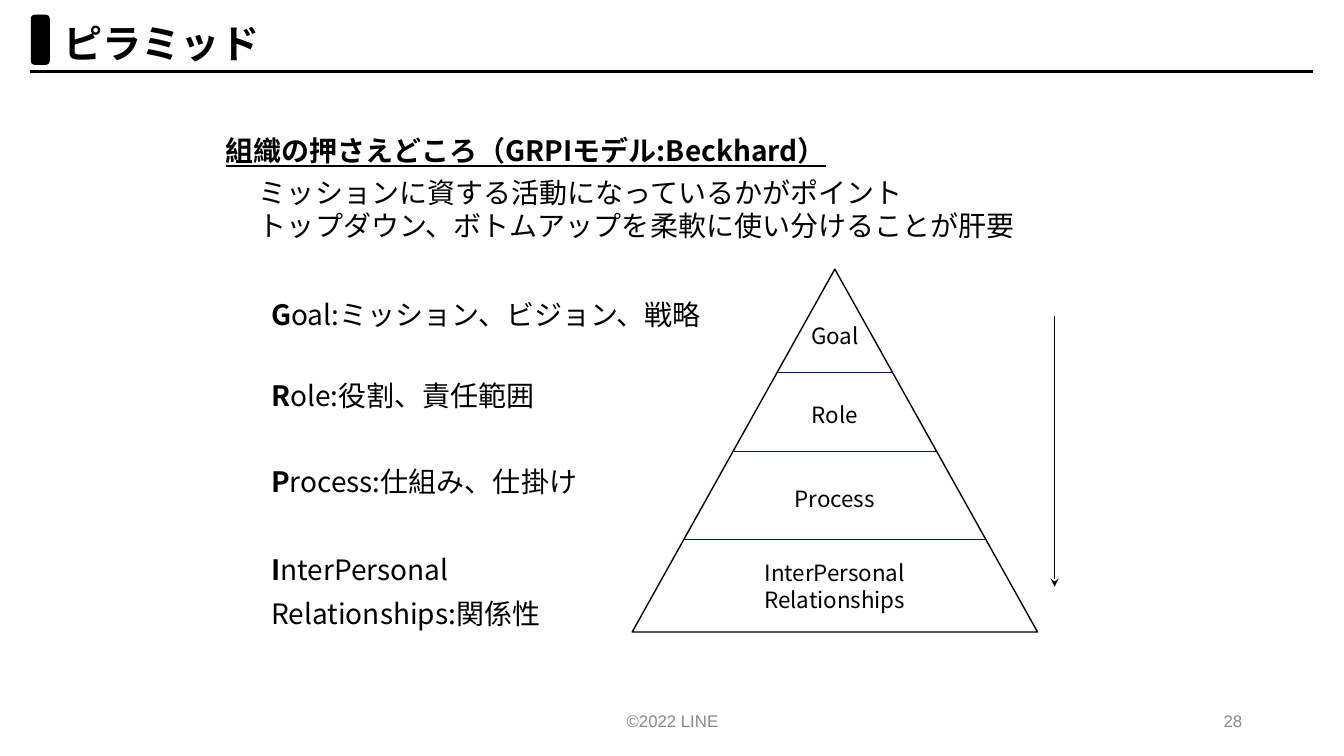
from pptx import Presentation, util as u
from pptx.dml.color import RGBColor
from pptx.enum import shapes, text
from pptx.oxml import parse_xml
from pptx.oxml.ns import nsdecls, qn

W, H = 13.33, 7.5
JP = "Noto Sans CJK JP"
BLACK, NAVY, GREY = "000000", "002060", "888888"
LEVELS = [("Goal", 0.182, 0.286), ("Role", 0.4, 0.503),
          ("Process", 0.632, 0.744), ("InterPersonal\nRelationships", 0.874, None)]
TERMS = [("G", "oal:ミッション、ビジョン、戦略", 0), ("R", "ole:役割、責任範囲", 36),
         ("P", "rocess:仕組み、仕掛け", 40), ("I", "nterPersonal", 41),
         ("", "Relationships:関係性", 10)]


def rgb(value):
    """Turn a hex string into a colour."""
    return RGBColor.from_string(value)


def add_run(p, words, font=JP, color=BLACK, **fmt):
    """Append a formatted run to a paragraph."""
    r = p.add_run()
    r.text = words
    for name, value in {"name": font, **fmt}.items():
        setattr(r.font, name, value)
    r.font.color.rgb = rgb(color)
    r.font._element.find(qn("a:latin")).addnext(
        parse_xml(f'<a:ea {nsdecls("a")} typeface="{font}"/>'))


def set_frame(sp, box, anchor=text.MSO_ANCHOR.TOP):
    """Place a text shape in its box and prepare its frame."""
    for name, value in zip(("left", "top", "width", "height"), box):
        setattr(sp, name, u.Inches(value))
    tf = sp.text_frame
    for name, value in {"word_wrap": True, "vertical_anchor": anchor,
                        "auto_size": text.MSO_AUTO_SIZE.NONE}.items():
        setattr(tf, name, value)
    return tf


def add_text(s, box, words, size, align=text.PP_ALIGN.LEFT,
             anchor=text.MSO_ANCHOR.TOP, **fmt):
    """Add a text box with one paragraph per line of words."""
    tf = set_frame(s.shapes.add_textbox(0, 0, 0, 0), box, anchor)
    for i, line in enumerate(words.split("\n")):
        p = tf.add_paragraph() if i else tf.paragraphs[0]
        p.alignment = align
        add_run(p, line, size=u.Pt(size), **fmt)


def add_line(s, x1, y1, x2, y2, color, width, arrow=False):
    """Draw a straight line, with an arrowhead at its end if asked."""
    c = s.shapes.add_connector(shapes.MSO_CONNECTOR.STRAIGHT,
                               *map(u.Inches, (x1, y1, x2, y2)))
    c.line.color.rgb = rgb(color)
    c.line.width = u.Pt(width)
    sppr = c._element.spPr
    if arrow:
        sppr.find(qn("a:ln")).append(
            parse_xml(f'<a:tailEnd {nsdecls("a")} type="stealth"/>'))
    sppr.append(parse_xml(f'<a:effectLst {nsdecls("a")}/>'))


def add_outline(s, kind, box, width, fill=None):
    """Draw a preset shape with a black outline."""
    sp = s.shapes.add_shape(kind, *map(u.Inches, box))
    sp.shadow.inherit = False
    sp.line.color.rgb = rgb(BLACK)
    sp.line.width = u.Pt(width)
    if fill:
        sp.fill.solid()
        sp.fill.fore_color.rgb = rgb(fill)
    else:
        sp.fill.background()


def header(s, x, y, w, h):
    """Build the title with its marker and rule."""
    add_line(s, x, y + h, x + w, y + h, BLACK, 2)
    add_outline(s, shapes.MSO_SHAPE.ROUNDED_RECTANGLE,
                (x + 0.02, y + 0.02, 0.16, h - 0.1), 2, BLACK)
    tf = set_frame(s.shapes.title, (x + 0.23, y, 0.75 * w, h), text.MSO_ANCHOR.MIDDLE)
    tf.paragraphs[0].alignment = text.PP_ALIGN.LEFT
    add_run(tf.paragraphs[0], "ピラミッド", size=u.Pt(28), bold=True)


def message(s, x, y, w):
    """Write the underlined heading and its two supporting lines."""
    add_text(s, (x, y, w, 0.44), "組織の押さえどころ（GRPIモデル:Beckhard）", 20,
             bold=True, underline=True)
    add_text(s, (x + 0.33, y + 0.41, w, 0.77),
             "ミッションに資する活動になっているかがポイント\n"
             "トップダウン、ボトムアップを柔軟に使い分けることが肝要", 20)


def terms(s, x, y, w, h):
    """Fill the body placeholder with the four terms."""
    tf = set_frame(s.placeholders[1], (x, y, w, h))
    for i, (initial, rest, gap) in enumerate(TERMS):
        p = tf.add_paragraph() if i else tf.paragraphs[0]
        ppr = p._p.get_or_add_pPr()
        ppr.set("marL", "0")
        ppr.set("indent", "0")
        ppr.append(parse_xml(f'<a:buNone {nsdecls("a")}/>'))
        p.line_spacing = 0.9
        p.space_before = u.Pt(gap)
        if initial:
            add_run(p, initial, size=u.Pt(20), bold=True)
        add_run(p, rest, size=u.Pt(20), bold=False)


def pyramid(s, x, y, w, h):
    """Draw the divided triangle, its labels and the downward arrow."""
    add_outline(s, shapes.MSO_SHAPE.ISOSCELES_TRIANGLE, (x, y, w, h), 1)
    mid = x + w / 2
    for label, centre, base in LEVELS:
        if base:
            half = base * w / 2
            add_line(s, mid - half, y + base * h, mid + half, y + base * h, NAVY, 0.75)
        add_text(s, (mid - 1.5, y + centre * h - 0.32, 3, 0.64), label, 16,
                 text.PP_ALIGN.CENTER, text.MSO_ANCHOR.MIDDLE)
    arrow_x = x + w + 0.17
    add_line(s, arrow_x, y + 0.13 * h, arrow_x, y + 0.875 * h, BLACK, 1, arrow=True)


def footer(s, y, h):
    """Write the copyright line and the page number."""
    for x, w, words, align in ((4.42, 4.5, "©2022 LINE", text.PP_ALIGN.CENTER),
                               (9.42, 3, "28", text.PP_ALIGN.RIGHT)):
        add_text(s, (x, y, w, h), words, 12, align, text.MSO_ANCHOR.MIDDLE,
                 font="Arial", color=GREY)


def main():
    """Build and save the slide."""
    prs = Presentation()
    prs.slide_width, prs.slide_height = u.Inches(W), u.Inches(H)
    s = prs.slides.add_slide(prs.slide_layouts[1])
    header(s, 0.3, 0.14, 12.72, 0.57)
    message(s, 2.14, 1.28, 8.43)
    terms(s, 2.59, 2.94, 5, 3.4)
    pyramid(s, 6.27, 2.67, 4.02, 3.6)
    footer(s, 6.95, 0.4)
    prs.save("out.pptx")


if __name__ == "__main__":
    main()
